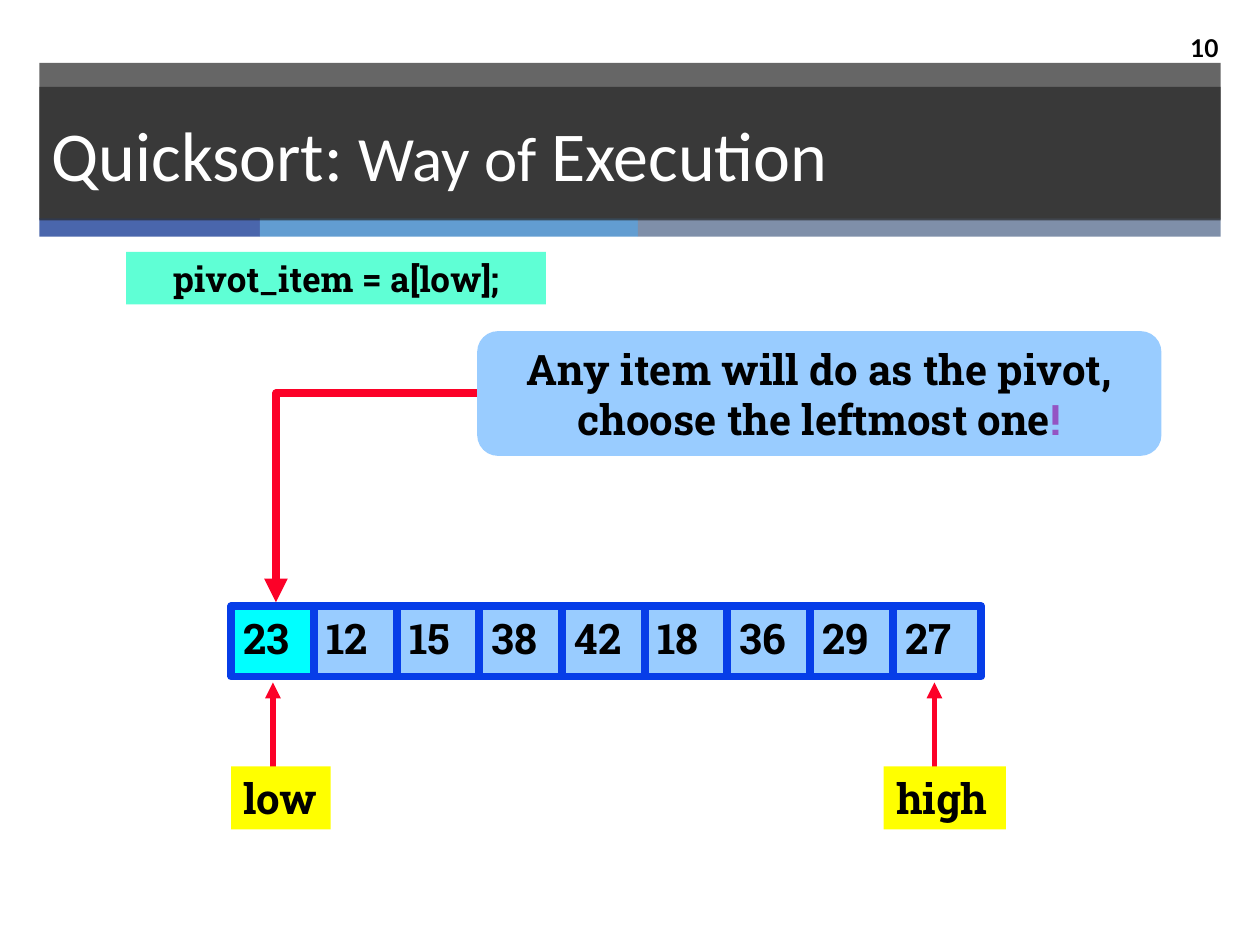
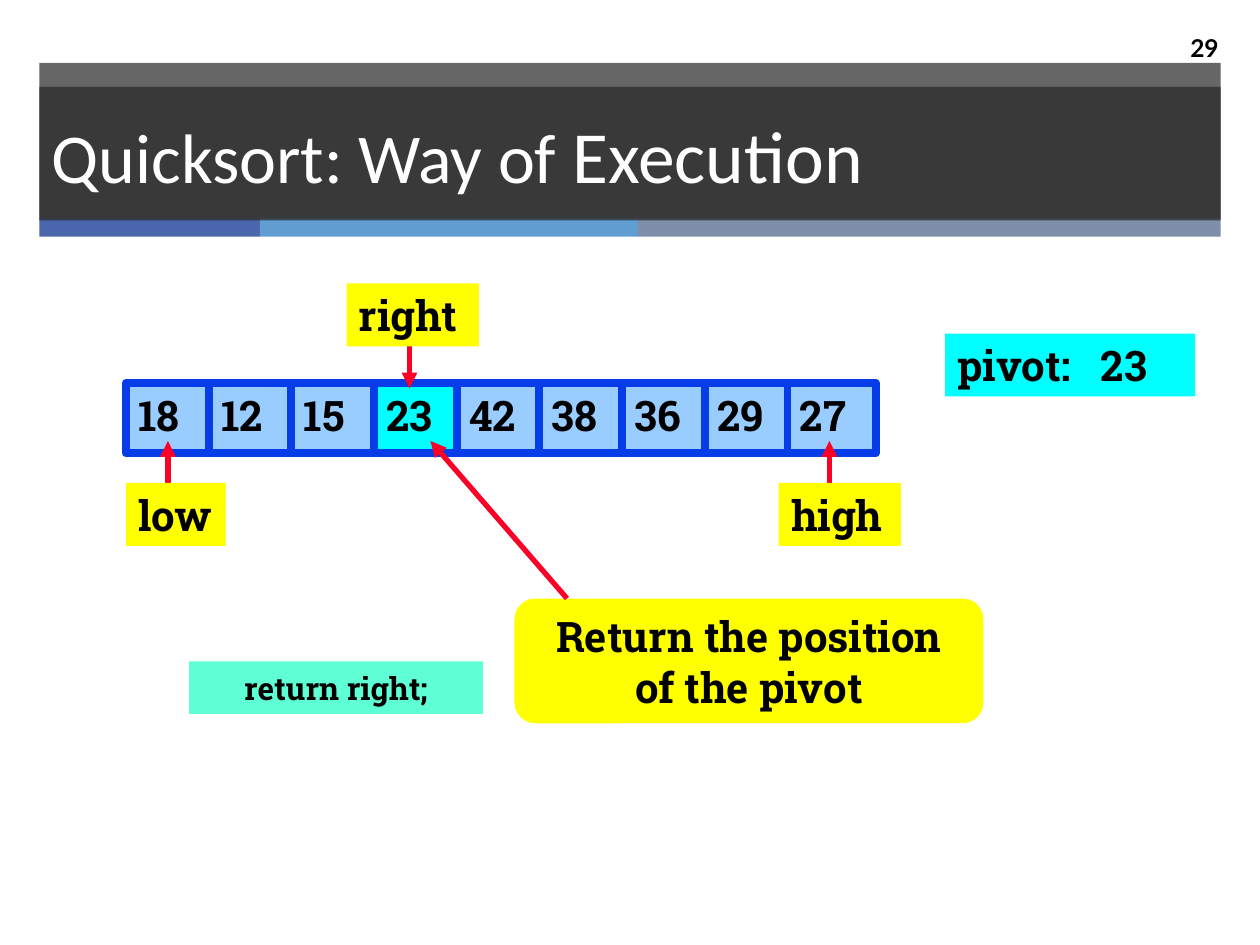
from dataclasses import dataclass

import pptx
import pptx.dml.color
import pptx.enum.shapes
import pptx.enum.text
import pptx.oxml
import pptx.oxml.ns
import pptx.util

Pt = pptx.util.Pt
SHAPE = pptx.enum.shapes.MSO_SHAPE
ALIGN = pptx.enum.text.PP_ALIGN
ANCHOR = pptx.enum.text.MSO_ANCHOR

BLACK, WHITE = "000000", "FFFFFF"
CHARCOAL, RED, PURPLE = "262626", "FC0128", "9454C3"
SKY, CYAN, YELLOW, MINT, BORDER = "99CCFF", "00FFFF", "FFFF00", "5FFFD5", "063DE8"
BODY_FONT, TITLE_FONT, NUMBER_FONT = "Roboto Slab", "Calibri", "Lato"
STRIPES = [(126, "4A66AC"), (216, "629DD1"), (333, "7F8FA9")]
BAND_LEFT, BAND_WIDTH = 22.5, 675
CELL_PITCH, CELL_WIDTH, CELL_HEIGHT = 47.25, 50.4, 40.3
LABEL_HEIGHT = 36
CODE_HEIGHT, CALLOUT_HEIGHT = 30, 71.3


@dataclass
class Box:
    left: float
    top: float
    width: float
    height: float


@dataclass
class Piece:
    text: str
    size: float = 24
    color: str = BLACK
    font: str = BODY_FONT
    bold: bool = True


@dataclass
class Arrow:
    start: tuple[float, float]
    tip: tuple[float, float]
    weight: float = 3
    elbow: bool = False


@dataclass
class Pointer:
    text: str
    left: float
    top: float
    width: float
    arrow: Arrow


def rgb(color: str):
    return pptx.dml.color.RGBColor.from_string(color)


def add_element(parent, tag: str, **attributes: str) -> None:
    element = pptx.oxml.parse_xml(f"<{tag} {pptx.oxml.ns.nsdecls('a')}/>")
    for name, value in attributes.items():
        element.set(name, value)
    parent.append(element)


def add_block(slide, box: Box, fill: str, kind=SHAPE.RECTANGLE,
              border: str = "", opacity: int = 100):
    shape = slide.shapes.add_shape(
        kind, Pt(box.left), Pt(box.top), Pt(box.width), Pt(box.height))
    shape.shadow.inherit = False
    shape.fill.solid()
    shape.fill.fore_color.rgb = rgb(fill)
    if opacity < 100:
        color = shape._element.spPr.find(".//" + pptx.oxml.ns.qn("a:srgbClr"))
        add_element(color, "a:alpha", val=str(opacity * 1000))
    if border:
        shape.line.color.rgb = rgb(border)
        shape.line.width = Pt(4.5)
    else:
        shape.line.fill.background()
    return shape


def write(shape, lines: list[list[Piece]], align=ALIGN.LEFT, anchor=ANCHOR.TOP) -> None:
    frame = shape.text_frame
    frame.word_wrap = True
    frame.vertical_anchor = anchor
    if align == ALIGN.LEFT:
        frame.margin_right = 0
    for index, pieces in enumerate(lines):
        paragraph = frame.add_paragraph() if index else frame.paragraphs[0]
        paragraph.alignment = align
        for piece in pieces:
            run = paragraph.add_run()
            run.text = piece.text
            run.font.name = piece.font
            run.font.size = Pt(piece.size)
            run.font.bold = piece.bold
            run.font.color.rgb = rgb(piece.color)


def add_arrow(slide, arrow: Arrow) -> None:
    kinds = pptx.enum.shapes.MSO_CONNECTOR
    connector = slide.shapes.add_connector(
        kinds.ELBOW if arrow.elbow else kinds.STRAIGHT,
        *(Pt(value) for value in (*arrow.start, *arrow.tip)))
    connector.line.color.rgb = rgb(RED)
    connector.line.width = Pt(arrow.weight)
    properties = connector._element.spPr
    if arrow.elbow:
        properties.find(pptx.oxml.ns.qn("a:prstGeom")).set("prst", "bentConnector2")
    add_element(connector.line._get_or_add_ln(), "a:tailEnd", type="triangle")
    add_element(properties, "a:effectLst")


def add_label(slide, text: str, left: float, top: float, width: float, fill: str = YELLOW):
    shape = add_block(slide, Box(left, top, width, LABEL_HEIGHT), fill)
    write(shape, [[Piece(text)]])
    return shape


def add_pointer(slide, pointer: Pointer) -> None:
    add_arrow(slide, pointer.arrow)
    add_label(slide, pointer.text, pointer.left, pointer.top, pointer.width)


def add_array(slide, left: float, top: float, values: list[int], pivot: int) -> None:
    for index, value in enumerate(values):
        box = Box(left + index * CELL_PITCH, top, CELL_WIDTH, CELL_HEIGHT)
        cell = add_block(slide, box, CYAN if value == pivot else SKY, border=BORDER)
        write(cell, [[Piece(str(value))]])


def add_code(slide, left: float, top: float, width: float, text: str, size: float) -> None:
    shape = add_block(slide, Box(left, top, width, CODE_HEIGHT), MINT)
    write(shape, [[Piece(text, size)]], ALIGN.CENTER, ANCHOR.MIDDLE)


def add_callout(slide, left: float, top: float, width: float, fill: str,
                lines: list[list[Piece]]) -> None:
    box = Box(left, top, width, CALLOUT_HEIGHT)
    write(add_block(slide, box, fill, SHAPE.ROUNDED_RECTANGLE), lines, ALIGN.CENTER)


def add_slide(presentation, number: int, title: list[tuple[str, float]]):
    slide = presentation.slides.add_slide(presentation.slide_layouts[6])
    add_block(slide, Box(BAND_LEFT, 36, BAND_WIDTH, 89.3), CHARCOAL, opacity=70)
    left = BAND_LEFT
    for width, color in STRIPES:
        add_block(slide, Box(left, 124.8, width, 10.5), color)
        left += width
    corner = slide.shapes.add_textbox(Pt(653.8), Pt(13), Pt(49.7), Pt(28))
    write(corner, [[Piece(str(number), 14, font=NUMBER_FONT)]], ALIGN.RIGHT, ANCHOR.MIDDLE)
    heading = add_block(slide, Box(BAND_LEFT, 49.7, BAND_WIDTH, 76.3), CHARCOAL, opacity=70)
    pieces = [Piece(text, size, WHITE, TITLE_FONT, False) for text, size in title]
    write(heading, [pieces], anchor=ANCHOR.MIDDLE)
    return slide


def build_choice_slide(presentation) -> None:
    slide = add_slide(presentation, 10,
                      [("Quicksort: ", 40), ("Way of ", 36), ("Execution", 40)])
    add_code(slide, 72, 144, 240, "pivot_item = a[low];", 20)
    add_array(slide, 132.2, 346.3, [23, 12, 15, 38, 42, 18, 36, 29, 27], 23)
    add_pointer(slide, Pointer("low", 132, 438, 56.9, Arrow((156, 450), (156, 390))))
    add_pointer(slide, Pointer("high", 505, 438, 69.8, Arrow((534, 450), (534, 390))))
    add_callout(slide, 272.7, 189.2, 391, SKY, [
        [Piece("Any item will do as the pivot,")],
        [Piece("choose the leftmost one"), Piece("!", color=PURPLE)]])
    add_arrow(slide, Arrow((272.7, 224.8), (157.7, 344.2), 4.5, True))


def build_result_slide(presentation) -> None:
    slide = add_slide(presentation, 29, [("Quicksort: Way of ", 40), ("Execution", 42)])
    add_code(slide, 108, 378, 168, "return right;", 18)
    add_callout(slide, 294, 342, 268, YELLOW,
                [[Piece("Return the position")], [Piece("of the pivot")]])
    add_array(slide, 72, 218.8, [18, 12, 15, 23, 42, 38, 36, 29, 27], 23)
    add_pointer(slide, Pointer("low", 72, 276, 56.9, Arrow((96, 312), (96, 252))))
    add_pointer(slide, Pointer("high", 445, 276, 69.8, Arrow((474, 312), (474, 252))))
    pivot = add_label(slide, "pivot:\t23", 540, 190.6, 143, CYAN)
    properties = pivot.text_frame.paragraphs[0]._p.get_or_add_pPr()
    add_element(properties, "a:tabLst")
    add_element(properties[-1], "a:tab", pos=str(Pt(82)), algn="l")
    add_pointer(slide, Pointer("right", 198, 162, 75.6, Arrow((234, 192), (234, 222))))
    add_arrow(slide, Arrow((324, 342), (246, 252)))


def main() -> None:
    presentation = pptx.Presentation()
    presentation.slide_width = Pt(720)
    presentation.slide_height = Pt(540)
    build_choice_slide(presentation)
    build_result_slide(presentation)
    presentation.save("out.pptx")


main()
